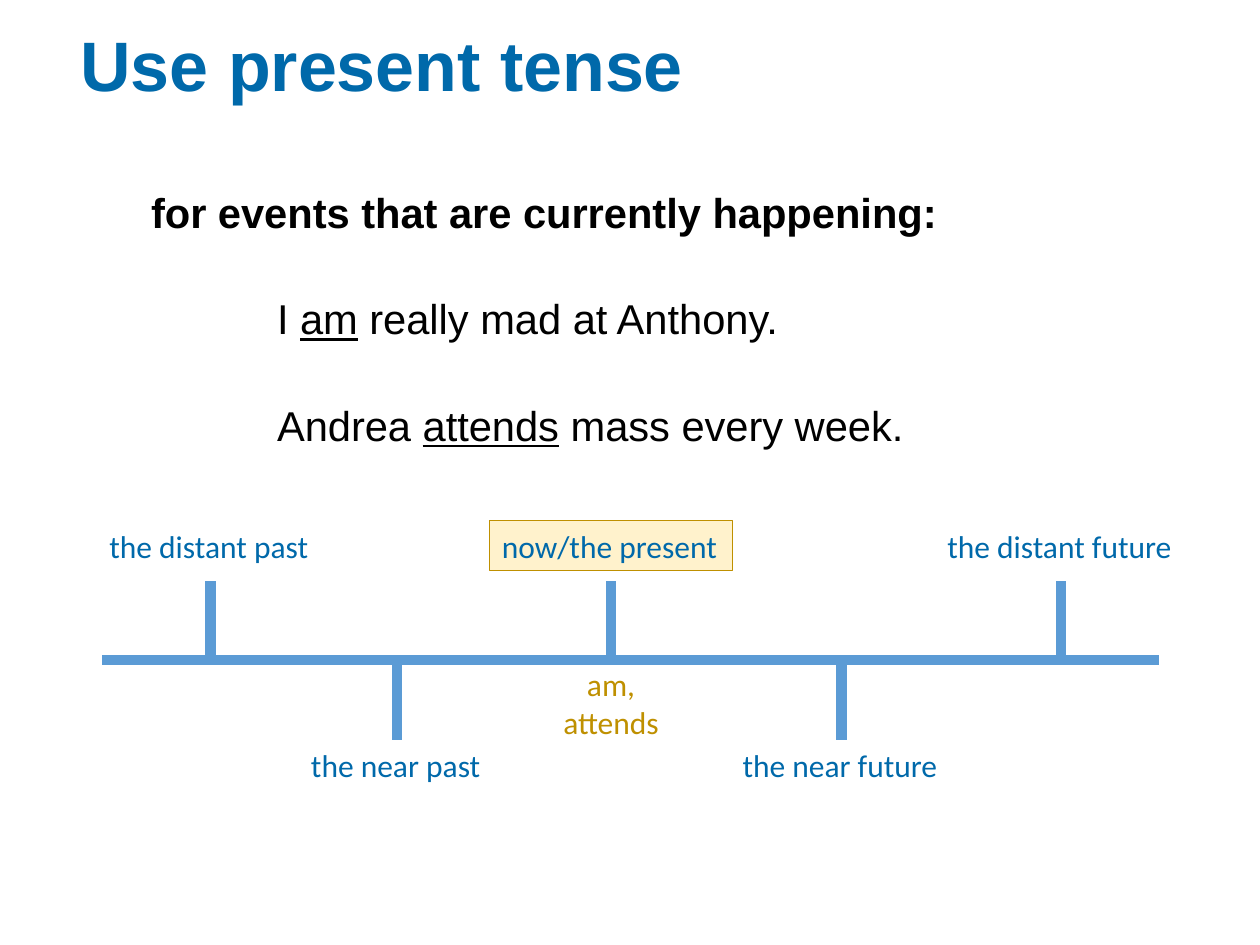
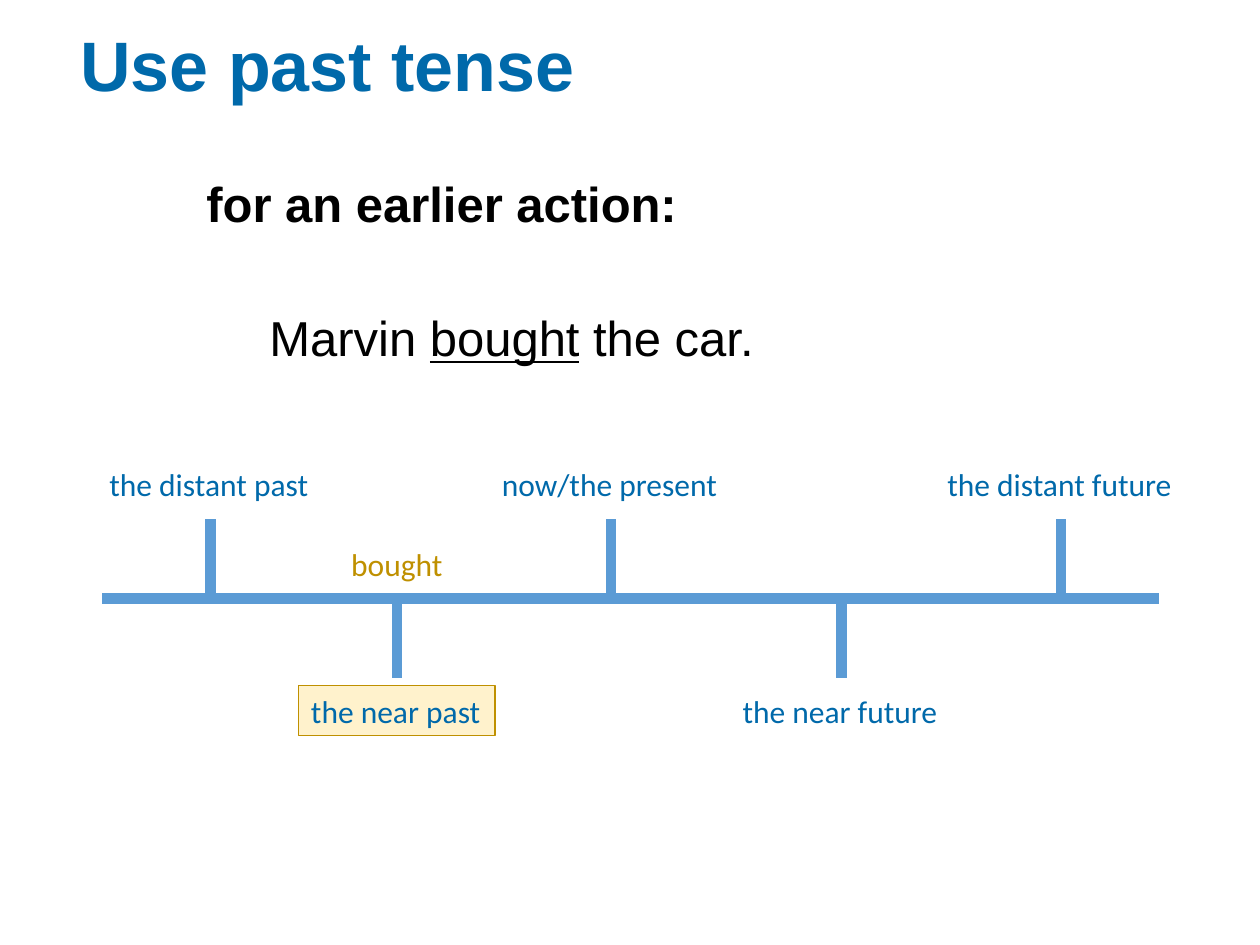
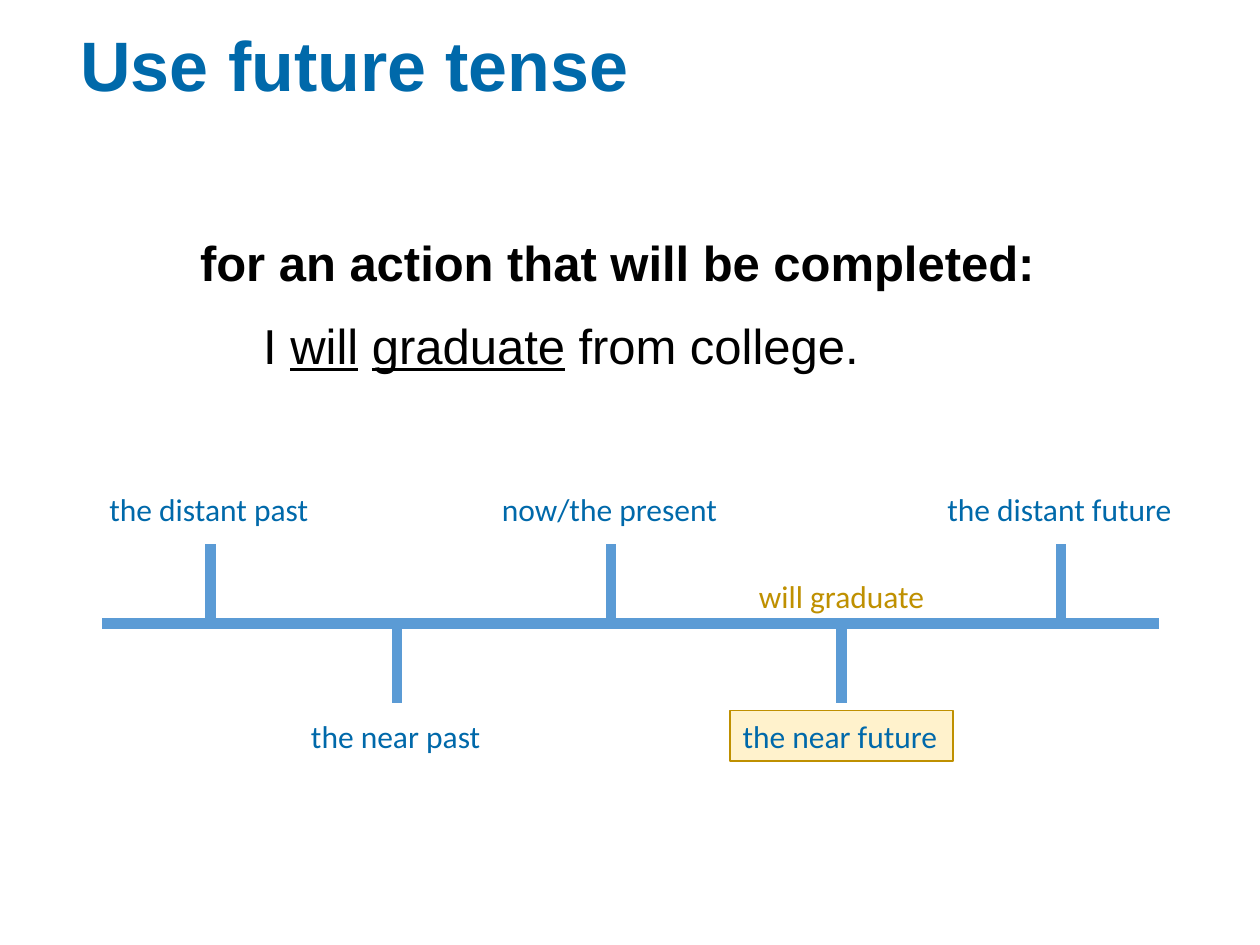
import pptx
import pptx.util
import pptx.dml.color
import pptx.enum.shapes
import pptx.enum.text
import lxml.etree

Inches = pptx.util.Inches
Pt = pptx.util.Pt
BLUE, AXIS, GOLD, CREAM, BLACK = "0069AA", "5B9BD5", "BF9000", "FFF2CC", "000000"
TICK = 0.63
ERAS = [
    ("the distant past", 1.67, 1.8, True),
    ("the near past", 3.15, 1.56, False),
    ("now/the present", 4.85, 1.93, True),
    ("the near future", 6.68, 1.77, False),
    ("the distant future", 8.42, 2, True),
]


def color(code):
    """Turn a hex string into a colour."""
    return pptx.dml.color.RGBColor.from_string(code)


def style(run, size, face, code, bold=False):
    """Set the font of a run."""
    font = run.font
    font.size, font.name, font.bold = Pt(size), face, bold
    font.color.rgb = color(code)


def add_box(slide, left, top, width, height):
    """Add an empty text box."""
    return slide.shapes.add_textbox(Inches(left), Inches(top), Inches(width), Inches(height))


def add_title(slide, text):
    """Add the slide title."""
    frame = add_box(slide, 0.54, 0.29, 8.93, 0.51).text_frame
    frame.word_wrap = True
    frame.vertical_anchor = pptx.enum.text.MSO_ANCHOR.MIDDLE
    frame.text = text
    frame.paragraphs[0].line_spacing = 0.9
    style(frame.paragraphs[0].runs[0], 40, "Arial", BLUE, True)


def add_body(slide, area, size, lead, gap, indent, rule, cases):
    """Add a bold rule and its cases, whose verbs stand between underscores."""
    frame = add_box(slide, *area).text_frame
    frame.word_wrap = True
    frame.text = rule
    head = frame.paragraphs[0]
    head.line_spacing = lead
    style(head.runs[0], size, "Arial", BLACK, True)
    for case in cases:
        para = frame.add_paragraph()
        para._p.get_or_add_pPr().set("marL", str(Inches(indent)))
        para.line_spacing, para.space_before = lead, Pt(gap)
        for i, part in enumerate(case.split("_")):
            run = para.add_run()
            run.text = part
            style(run, size, "Arial", BLACK)
            run.font.underline = i % 2 == 1


def add_line(slide, x1, y1, x2, y2):
    """Add a thick line of the time axis."""
    line = slide.shapes.add_connector(
        pptx.enum.shapes.MSO_CONNECTOR.STRAIGHT, Inches(x1), Inches(y1), Inches(x2), Inches(y2))
    line.line.color.rgb = color(AXIS)
    line.line.width = Pt(6)
    lxml.etree.SubElement(line._element.spPr, pptx.oxml.ns.qn("a:effectLst"))
    return line


def add_label(slide, text, mid, top, width, code=BLUE, marked=False, height=0.4):
    """Add a label centred on a tick, in a filled frame when marked."""
    left = mid - width / 2
    if marked:
        label = slide.shapes.add_shape(
            pptx.enum.shapes.MSO_SHAPE.RECTANGLE,
            Inches(left), Inches(top), Inches(width), Inches(height))
        label.shadow.inherit = False
        label.fill.solid()
        label.fill.fore_color.rgb = color(CREAM)
        label.line.color.rgb = color(GOLD)
        label.line.width = Pt(0.75)
    else:
        label = add_box(slide, left, top, width, height)
    frame = label.text_frame
    frame.text = text
    frame.word_wrap = False
    frame.auto_size = pptx.enum.text.MSO_AUTO_SIZE.SHAPE_TO_FIT_TEXT
    frame.vertical_anchor = pptx.enum.text.MSO_ANCHOR.TOP
    align = pptx.enum.text.PP_ALIGN
    for para in frame.paragraphs:
        para.alignment = align.CENTER if code == GOLD else align.LEFT
        style(para.runs[0], 18, "Calibri", code)
    return label


def add_axis(slide, axis, drop, now):
    """Add the time axis with its ticks and labels, marking one era."""
    for text, mid, width, above in ERAS:
        tick = add_line(slide, mid, axis, mid, axis - TICK if above else axis + TICK)
        top = axis - 1.11 if above else axis + drop
        label = add_label(slide, text, mid, top, width, marked=text == now)
        if not above and drop == TICK:
            tick.end_connect(label, 0)
    add_line(slide, 0.81, axis, 9.2, axis)


def main():
    """Build the three slides on tenses."""
    deck = pptx.Presentation()
    deck.slide_width, deck.slide_height = Inches(10), Inches(7.5)
    pages = [
        ("Use present tense",
         ((1.1, 1.54, 7.81, 2.11), 23.8, 0.7, 41, 1, "for events that are currently happening:",
          ["I _am_ really mad at Anthony.", "Andrea _attends_ mass every week."]),
         (5.24, TICK, "now/the present"), ("am,\nattends", 4.85, 5.23, 0.97), 0.71),
        ("Use past tense",
         ((1.54, 1.38, 6.92, 1.66), 28, 0.9, 46.5, 0.5, "for an earlier action:",
          ["Marvin _bought_ the car."]),
         (4.75, 0.69, "the near past"), ("bought", 3.15, 4.28, 0.94), 0.4),
        ("Use future tense",
         ((1.49, 1.7, 7.04, 2.02), 28, 1.2, 7, 0.5, "for an action that will be completed:",
          ["I _will_ _graduate_ from college."]),
         (4.95, 0.69, "the near future"), ("will graduate", 6.68, 4.53, 1.53), 0.4),
    ]
    for title, body, axis, verb, height in pages:
        slide = deck.slides.add_slide(deck.slide_layouts[6])
        add_title(slide, title)
        add_body(slide, *body)
        add_axis(slide, *axis)
        add_label(slide, *verb, code=GOLD, height=height)
    deck.save("out.pptx")


if __name__ == "__main__":
    main()
